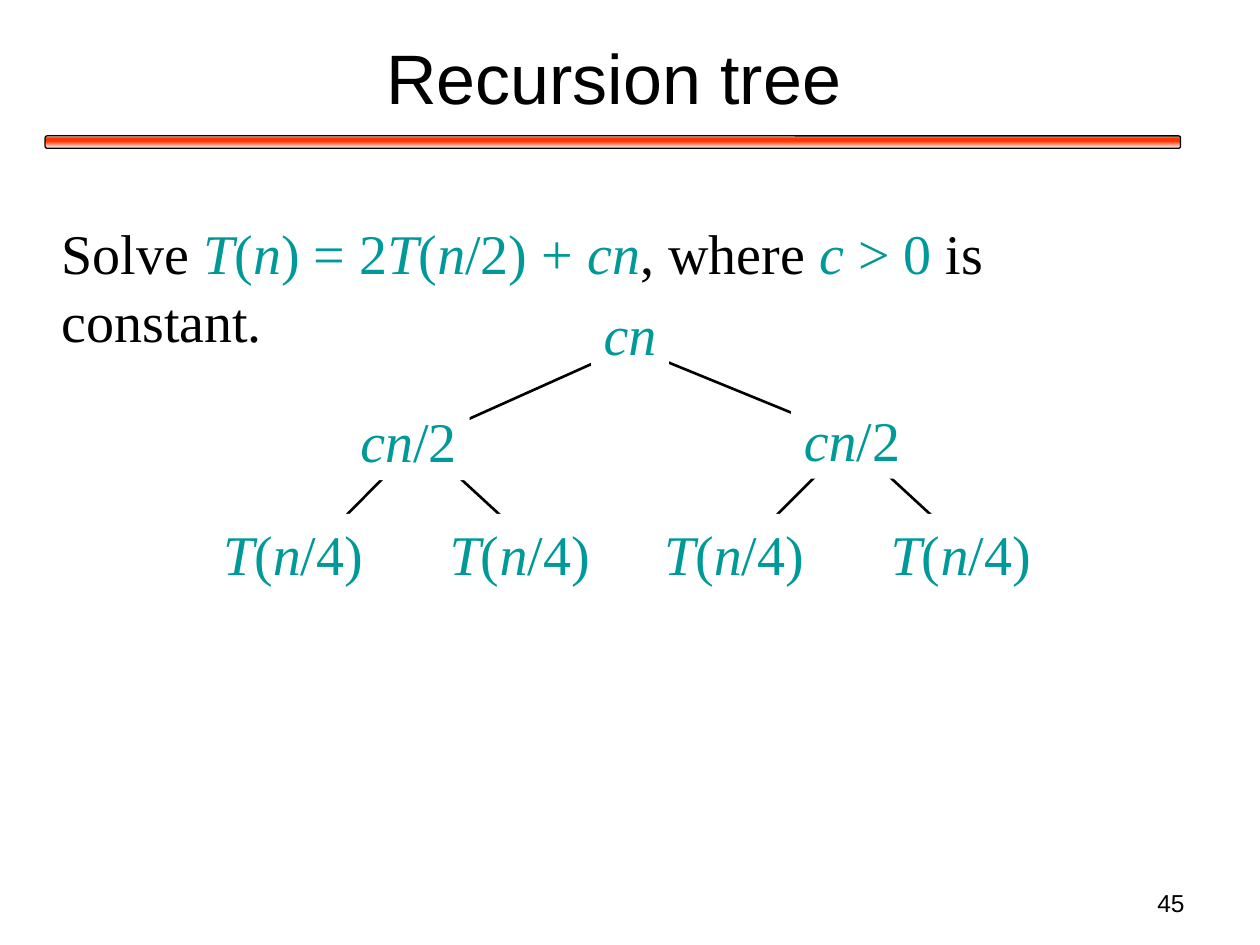
from itertools import groupby
from typing import NamedTuple

from lxml.etree import SubElement
from pptx import Presentation
from pptx.dml.color import RGBColor
from pptx.enum.shapes import MSO_CONNECTOR, MSO_SHAPE
from pptx.enum.text import MSO_ANCHOR, PP_ALIGN
from pptx.oxml import parse_xml
from pptx.oxml.ns import nsdecls, qn
from pptx.util import Cm, Pt

BLACK = RGBColor(0x00, 0x00, 0x00)
WHITE = RGBColor(0xFF, 0xFF, 0xFF)
RED = RGBColor(0xFF, 0x33, 0x00)
TEAL = RGBColor(0x00, 0x99, 0x99)
SANS, SERIF = "Arial", "Times New Roman"
LINE_H = 1.6


class Node(NamedTuple):
    text: str
    mid: float
    top: float
    width: float


class Edge(NamedTuple):
    x1: float
    y1: float
    x2: float
    y2: float


# Tree data, in centimetres
NODES = [
    Node("cn", 12.7, 5.92, 1.57),
    Node("cn/2", 8.24, 8.08, 2.46),
    Node("cn/2", 17.18, 8.05, 2.46),
    *[Node("T(n/4)", mid, 10.36, 3.33) for mid in (5.91, 10.48, 14.8, 19.37)],
]
EDGES = [
    *[Edge(12.7, 6.99, x, 8.89) for x in (8.46, 17.35)],
    *[Edge(8.46, 8.89, x, 11.23) for x in (6.15, 11.0)],
    *[Edge(17.15, 8.89, x, 11.23) for x in (14.81, 19.69)],
]
# Sentence parts: text and whether it is a formula
PARTS = [
    ("Solve ", False),
    ("T(n) = 2T(n/2) + cn", True),
    (", where ", False),
    ("c > 0", True),
    (" is constant.", False),
]


def style(para, face: str, size: int, color: RGBColor, align: PP_ALIGN) -> None:
    para.font.name = face
    para.font.size = Pt(size)
    para.font.color.rgb = color
    para.alignment = align


def add_math(para, text: str) -> None:
    """Add a formula: letters are italic, all else upright."""
    for slant, chars in groupby(text, str.isalpha):
        run = para.add_run()
        run.text = "".join(chars)
        run.font.italic = slant
        run.font.color.rgb = TEAL


def add_bar(slide) -> None:
    bar = slide.shapes.add_shape(
        MSO_SHAPE.ROUNDED_RECTANGLE, Cm(0.91), Cm(2.74), Cm(22.89), Cm(0.25))
    bar.shadow.inherit = False
    bar.line.color.rgb = BLACK
    bar.line.width = Pt(0.75)
    stops = "".join(
        f'<a:gs pos="{pos * 1000}"><a:srgbClr val="{color}"/></a:gs>'
        for pos, color in ((0, WHITE), (16, RED), (42, RED), (100, WHITE)))
    fill = parse_xml(
        f'<a:gradFill {nsdecls("a")} rotWithShape="1"><a:gsLst>{stops}</a:gsLst>'
        '<a:lin ang="5400000" scaled="1"/></a:gradFill>')
    bar.element.spPr.find(qn("a:prstGeom")).addnext(fill)


def add_edge(slide, edge: Edge) -> None:
    line = slide.shapes.add_connector(
        MSO_CONNECTOR.STRAIGHT, *[Cm(value) for value in edge])
    line.line.color.rgb = BLACK
    line.line.width = Pt(1.5)
    SubElement(line.element.spPr, qn("a:effectLst"))


def add_node(slide, node: Node) -> None:
    box = slide.shapes.add_shape(
        MSO_SHAPE.RECTANGLE, Cm(node.mid - node.width / 2), Cm(node.top),
        Cm(node.width), Cm(LINE_H))
    box.shadow.inherit = False
    box.fill.solid()
    box.fill.fore_color.rgb = WHITE
    box.line.fill.background()
    box.text_frame.word_wrap = False
    para = box.text_frame.paragraphs[0]
    style(para, SERIF, 32, TEAL, PP_ALIGN.CENTER)
    add_math(para, node.text)


def add_box(slide, left: float, top: float, width: float, height: float):
    """Add a wrapping text box and return its paragraph."""
    box = slide.shapes.add_textbox(Cm(left), Cm(top), Cm(width), Cm(height))
    box.text_frame.word_wrap = True
    return box.text_frame.paragraphs[0]


def main() -> None:
    deck = Presentation()
    deck.slide_width, deck.slide_height = Cm(25.4), Cm(19.05)
    slide = deck.slides.add_slide(deck.slide_layouts[5])

    # Title and rule below it
    title = slide.shapes.title
    title.left, title.top = Cm(0.94), Cm(0.28)
    title.width, title.height = Cm(22.86), Cm(2.51)
    title.text_frame.text = "Recursion tree"
    title.text_frame.vertical_anchor = MSO_ANCHOR.MIDDLE
    style(title.text_frame.paragraphs[0], SANS, 40, BLACK, PP_ALIGN.CENTER)
    add_bar(slide)

    # Problem sentence
    para = add_box(slide, 0.99, 4.29, 23, LINE_H)
    style(para, SERIF, 32, BLACK, PP_ALIGN.LEFT)
    for text, math in PARTS:
        if math:
            add_math(para, text)
        else:
            para.add_run().text = text

    # Tree: white nodes cover the ends of the edges
    for edge in EDGES:
        add_edge(slide, edge)
    for node in NODES:
        add_node(slide, node)

    # Page number
    para = add_box(slide, 18.21, 17.78, 5.92, 0.89)
    para.text = "45"
    style(para, SANS, 14, BLACK, PP_ALIGN.RIGHT)

    deck.save("out.pptx")


if __name__ == "__main__":
    main()
